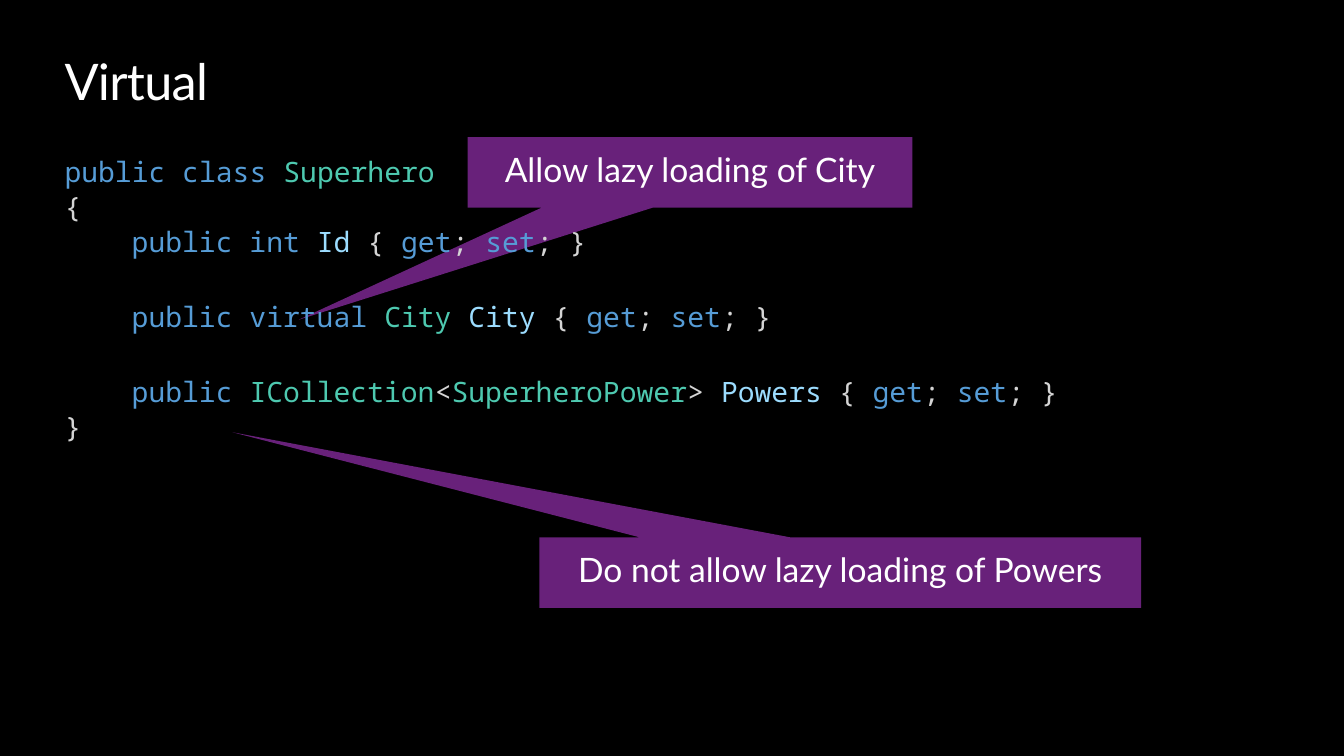
import pptx
import pptx.dml.color
import pptx.enum.shapes
import pptx.enum.text
import pptx.oxml
import pptx.util

ANCHOR = pptx.enum.text.MSO_ANCHOR
ALIGN = pptx.enum.text.PP_ALIGN
Pt = pptx.util.Pt
Inches = pptx.util.Inches

TEXT_FONT, CODE_FONT = "Lato", "Noto Sans Mono"
BLACK, WHITE, PURPLE = "000000", "FFFFFF", "68217A"
KEYWORD, TYPE, MEMBER, PLAIN = "569CD6", "4EC9B0", "9CDCFE", "D4D4D4"
INDENT = 48
LINE_GAP, BLANK_LINE_GAP = 3.6, 31.7

ACCESSORS = [(" { ", PLAIN), ("get", KEYWORD), ("; ", PLAIN), ("set", KEYWORD), ("; }", PLAIN)]
CODE = [
    (0, LINE_GAP, [("public class ", KEYWORD), ("Superhero", TYPE)]),
    (0, LINE_GAP, [("{", PLAIN)]),
    (INDENT, LINE_GAP, [("public int ", KEYWORD), ("Id", MEMBER), *ACCESSORS]),
    (INDENT, BLANK_LINE_GAP,
     [("public virtual ", KEYWORD), ("City ", TYPE), ("City", MEMBER), *ACCESSORS]),
    (INDENT, BLANK_LINE_GAP,
     [("public ", KEYWORD), ("ICollection", TYPE), ("<", PLAIN), ("SuperheroPower", TYPE),
      ("> ", PLAIN), ("Powers", MEMBER), *ACCESSORS]),
    (0, LINE_GAP, [("}", PLAIN)]),
]
CALLOUTS = [
    ("Allow lazy loading of City", (34.8, 18.13, 33.08, 9.33), (-0.88, 2.09)),
    ("Do not allow lazy loading of Powers", (40.13, 71.07, 44.78, 9.33), (-1.01, -1.99)),
]


def color(hex_text):
    return pptx.dml.color.RGBColor.from_string(hex_text)


def apply(target, values):
    for name, value in values.items():
        setattr(target, name, value)


class CodeSlide:
    """Style and current page; boxes are placed in percent of the slide's size."""

    def __init__(self, deck):
        self.deck = deck
        self.page = deck.slides.add_slide(deck.slide_layouts[1])
        background = self.page.background.fill
        background.solid()
        background.fore_color.rgb = color(BLACK)

    def area(self, left, top, width, height):
        across, down = self.deck.slide_width / 100, self.deck.slide_height / 100
        return [int(left * across), int(top * down), int(width * across), int(height * down)]

    def frame(self, box, across=0, down=0, anchor=ANCHOR.TOP):
        apply(box.text_frame, {
            "word_wrap": True, "auto_size": pptx.enum.text.MSO_AUTO_SIZE.NONE,
            "vertical_anchor": anchor,
            "margin_left": Inches(across), "margin_right": Inches(across),
            "margin_top": Inches(down), "margin_bottom": Inches(down),
        })
        return box.text_frame

    def span(self, para, text, font, size, hex_text):
        span = para.add_run()
        span.text = text
        apply(span.font, {"name": font, "size": Pt(size)})
        span.font.color.rgb = color(hex_text)
        return span

    def placeholder(self, box, area):
        apply(box, dict(zip(("left", "top", "width", "height"), self.area(*area))))
        box.element.getparent().append(box.element)
        return self.frame(box)

    def title(self, text, area):
        para = self.placeholder(self.page.shapes.title, area).paragraphs[0]
        para.alignment = ALIGN.LEFT
        span = self.span(para, text, TEXT_FONT, 36, WHITE)
        span.font._element.set("spc", "-50")

    def code(self, lines, area):
        frame = self.placeholder(self.page.placeholders[1], area)
        for number, (indent, gap, spans) in enumerate(lines):
            para = frame.add_paragraph() if number else frame.paragraphs[0]
            apply(para, {"space_before": Pt(gap), "line_spacing": 0.9, "alignment": ALIGN.LEFT})
            properties = para._p.get_or_add_pPr()
            properties.set("marL", str(Pt(indent)))
            properties.set("indent", "0")
            properties.append(pptx.oxml.parse_xml(
                '<a:buNone xmlns:a="http://schemas.openxmlformats.org/drawingml/2006/main"/>'))
            for text, hex_text in spans:
                self.span(para, text, CODE_FONT, 20, hex_text)

    def callout(self, text, area, tip):
        kind = pptx.enum.shapes.MSO_SHAPE.RECTANGULAR_CALLOUT
        box = self.page.shapes.add_shape(kind, *self.area(*area))
        box.adjustments[0], box.adjustments[1] = tip
        box.shadow.inherit = False
        box.fill.solid()
        box.fill.fore_color.rgb = color(PURPLE)
        box.line.fill.background()
        para = self.frame(box, 0.2, 0.16, ANCHOR.TOP).paragraphs[0]
        apply(para, {"alignment": ALIGN.CENTER, "line_spacing": 0.9})
        self.span(para, text, TEXT_FONT, 24, WHITE)


def main():
    deck = pptx.Presentation()
    apply(deck, {"slide_width": Inches(13.33), "slide_height": Inches(7.5)})
    slide = CodeSlide(deck)
    for text, area, tip in CALLOUTS:
        slide.callout(text, area, tip)
    slide.title("Virtual", (4.8, 6.67, 90.38, 8.13))
    slide.code(CODE, (4.8, 20.93, 90.38, 47.6))
    deck.save("out.pptx")


if __name__ == "__main__":
    main()
